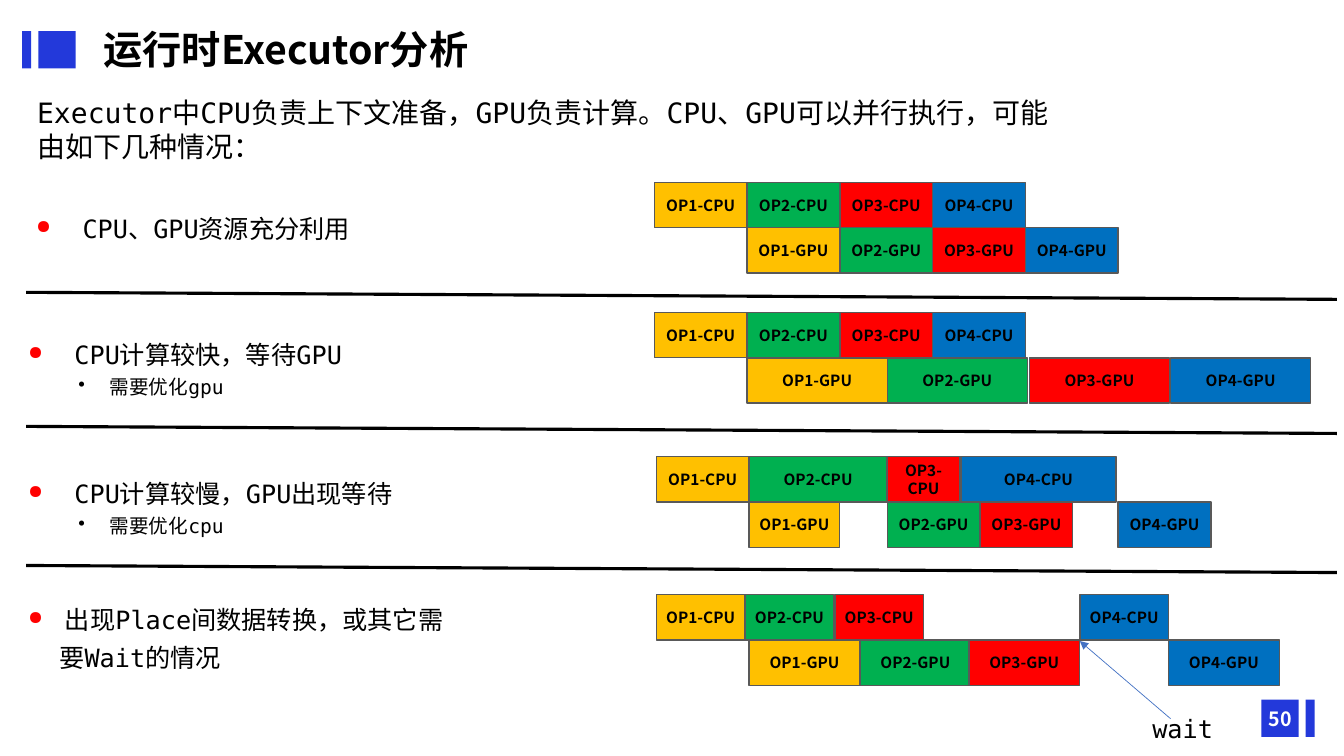
from lxml import etree
from pptx import Presentation
from pptx.dml.color import RGBColor
from pptx.enum.shapes import MSO_CONNECTOR, MSO_SHAPE
from pptx.enum.text import MSO_ANCHOR, MSO_AUTO_SIZE, PP_ALIGN
from pptx.oxml.ns import qn
from pptx.util import Inches, Pt

RECT = MSO_SHAPE.RECTANGLE
STRAIGHT = MSO_CONNECTOR.STRAIGHT
MIDDLE = MSO_ANCHOR.MIDDLE
CENTER = PP_ALIGN.CENTER
FIT = MSO_AUTO_SIZE.SHAPE_TO_FIT_TEXT

SANS = "Noto Sans CJK SC"
MONO = "DejaVu Sans Mono"
BLACK = RGBColor(0x00, 0x00, 0x00)
WHITE = RGBColor(0xFF, 0xFF, 0xFF)
RED = RGBColor(0xFF, 0x00, 0x00)
ACCENT = RGBColor(0x23, 0x39, 0xDA)
BORDER = RGBColor(0x59, 0x59, 0x59)
ARROW = RGBColor(0x44, 0x72, 0xC4)
OP_COLORS = [RGBColor(0xFF, 0xC0, 0x00), RGBColor(0x00, 0xB0, 0x50), RED,
             RGBColor(0x00, 0x70, 0xC0)]


def write(p, text, size=18, font=MONO, color=BLACK, bold=False, align=None,
          bullet=None, bullet_color=BLACK, bullet_size=100, margin=0.31, level=0):
    if bullet:
        p.level = level
        p.line_spacing = 1.25
        pPr = p._p.get_or_add_pPr()
        pPr.set("marL", str(Inches(margin)))
        pPr.set("indent", str(Inches(-0.31)))
        clr = etree.SubElement(pPr, qn("a:buClr"))
        etree.SubElement(clr, qn("a:srgbClr"), val=str(bullet_color))
        etree.SubElement(pPr, qn("a:buSzPct"), val=str(bullet_size * 1000))
        etree.SubElement(pPr, qn("a:buChar"), char=bullet)
    if align is not None:
        p.alignment = align
    r = p.add_run()
    r.text = text
    r.font.size = Pt(size)
    r.font.bold = bold
    r.font.color.rgb = color
    r.font.name = font
    etree.SubElement(r._r.get_or_add_rPr(), qn("a:ea"), typeface=SANS)


def add_line(x1, y1, x2, y2, color, width):
    c = s.shapes.add_connector(STRAIGHT, Inches(x1), Inches(y1), Inches(x2), Inches(y2))
    c.line.color.rgb = color
    c.line.width = Pt(width)
    etree.SubElement(c._element.spPr, qn("a:effectLst"))
    return c


prs = Presentation()
prs.slide_width = Inches(13.33)
prs.slide_height = Inches(7.5)
s = prs.slides.add_slide(prs.slide_layouts[6])

for x, y, w in [(0.38, 0.31, 0.37), (0.22, 0.31, 0.09), (12.51, 6.94, 0.37), (12.95, 6.94, 0.09)]:
    sp = s.shapes.add_shape(RECT, Inches(x), Inches(y), Inches(w), Inches(0.37))
    sp.shadow.inherit = False
    sp.fill.solid()
    sp.fill.fore_color.rgb = ACCENT
    sp.line.fill.background()

labels = [
    (0.93, 0.2, 4.93, 0.57, "运行时Executor分析", dict(size=28, font=SANS, bold=True)),
    (0.27, 0.9, 10.33, 0.77,
     "Executor中CPU负责上下文准备，GPU负责计算。CPU、GPU可以并行执行，可能由如下几种情况：", dict(size=20)),
    (11.33, 7.03, 0.81, 0.4, "wait", dict(size=18)),
]
for x, y, w, h, text, style in labels:
    tf = s.shapes.add_textbox(Inches(x), Inches(y), Inches(w), Inches(h)).text_frame
    tf.word_wrap = text != "wait"
    tf.auto_size = FIT
    write(tf.paragraphs[0], text, **style)

tf = s.shapes.add_textbox(Inches(12.43), Inches(6.93), Inches(0.54), Inches(0.4)).text_frame
tf.word_wrap = True
tf.vertical_anchor = MIDDLE
write(tf.paragraphs[0], "50", size=14, font=SANS, color=WHITE, bold=True, align=CENTER)

cases = [
    (0.26, 1.99, 5.49, 0.46, " CPU、GPU资源充分利用", None),
    (0.18, 3.24, 6.67, 0.76, " CPU计算较快，等待GPU", "需要优化gpu"),
    (0.18, 4.62, 6.67, 0.76, " CPU计算较慢，GPU出现等待", "需要优化cpu"),
    (0.18, 5.87, 4.48, 0.84, " 出现Place间数据转换，或其它需要Wait的情况", None),
]
for x, y, w, h, text, advice in cases:
    tf = s.shapes.add_textbox(Inches(x), Inches(y), Inches(w), Inches(h)).text_frame
    tf.word_wrap = True
    tf.auto_size = FIT
    write(tf.paragraphs[0], text, bullet="●", bullet_color=RED, bullet_size=75)
    if advice:
        write(tf.add_paragraph(), advice, size=14, bullet="•", margin=0.81, level=1)

LANE_H = 0.45
timelines = [
    (1.81, [6.49, 7.41, 8.33, 9.25], [0.92] * 4, [7.41, 8.33, 9.25, 10.17], [0.92] * 4),
    (3.1, [6.49, 7.41, 8.33, 9.25], [0.92] * 4, [7.41, 8.8, 10.21, 11.61], [1.39] * 4),
    (4.53, [6.51, 7.43, 8.8, 9.53], [0.92, 1.37, 0.72, 1.54],
     [7.43, 8.8, 9.72, 11.09], [0.9, 0.92, 0.92, 0.92]),
    (5.9, [6.51, 7.39, 8.28, 10.71], [0.88] * 4, [7.43, 8.53, 9.61, 11.59], [1.1] * 4),
]
for top, cpu_xs, cpu_ws, gpu_xs, gpu_ws in timelines:
    lanes = [("CPU", top, cpu_xs, cpu_ws), ("GPU", top + LANE_H, gpu_xs, gpu_ws)]
    for unit, y, xs, ws in lanes:
        for i, (x, w, color) in enumerate(zip(xs, ws, OP_COLORS), 1):
            sp = s.shapes.add_shape(RECT, Inches(x), Inches(y), Inches(w), Inches(LANE_H))
            sp.shadow.inherit = False
            sp.fill.solid()
            sp.fill.fore_color.rgb = color
            sp.line.color.rgb = BORDER
            sp.line.width = Pt(1)
            tf = sp.text_frame
            tf.word_wrap = True
            tf.vertical_anchor = MIDDLE
            tf.margin_left = tf.margin_right = Inches(0.05)
            write(tf.paragraphs[0], f"OP{i}-{unit}", size=11, font=SANS, bold=True, align=CENTER)

for y in (2.9, 4.23, 5.61):
    add_line(0.26, y, 13.26, y + 0.07, BLACK, 2.25)

wait_arrow = add_line(11.61, 7.13, 10.71, 6.36, ARROW, 0.5)
ln = wait_arrow._element.spPr.find(qn("a:ln"))
etree.SubElement(ln, qn("a:tailEnd"), type="triangle")

prs.save("out.pptx")
